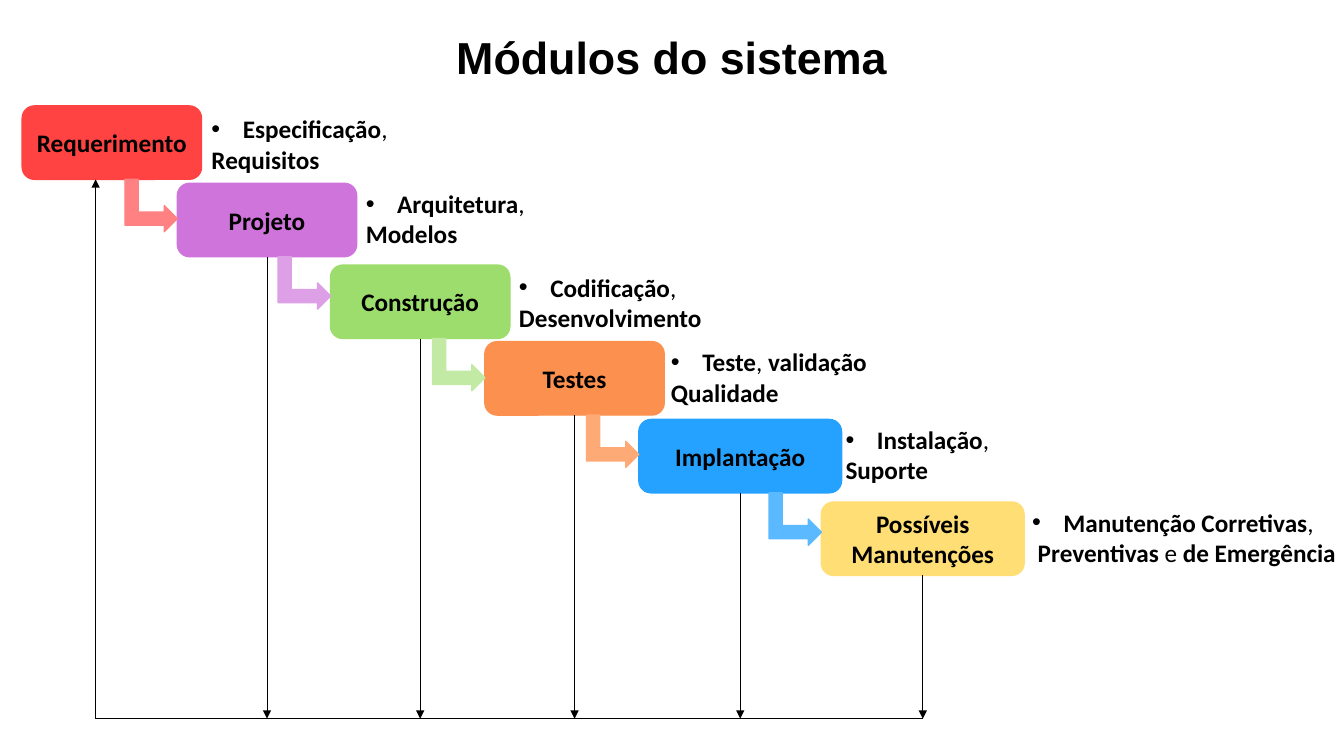
from dataclasses import dataclass
from itertools import pairwise

from lxml.etree import SubElement
from pptx import Presentation
from pptx.dml.color import RGBColor
from pptx.enum.shapes import MSO_CONNECTOR as Link, MSO_SHAPE as Preset
from pptx.enum.text import MSO_ANCHOR as Anchor, MSO_AUTO_SIZE as Fit, PP_ALIGN as Align
from pptx.oxml.ns import qn
from pptx.util import Cm, Pt

BLACK = RGBColor(0x00, 0x00, 0x00)
RED, PALE_RED = RGBColor(0xFF, 0x43, 0x43), RGBColor(0xFF, 0x81, 0x81)
PURPLE, PALE_PURPLE = RGBColor(0xCE, 0x74, 0xDA), RGBColor(0xDD, 0x9F, 0xE5)
GREEN, PALE_GREEN = RGBColor(0x9D, 0xDD, 0x6D), RGBColor(0xC2, 0xEA, 0xA4)
ORANGE, PALE_ORANGE = RGBColor(0xFC, 0x90, 0x4E), RGBColor(0xFD, 0xAA, 0x77)
BLUE, PALE_BLUE = RGBColor(0x25, 0xA2, 0xFF), RGBColor(0x5B, 0xB9, 0xFF)
YELLOW = RGBColor(0xFF, 0xDE, 0x75)

TITLE_FORMAT = {"name": "Arial", "size": Pt(32), "bold": True}
LABEL_FORMAT = {"name": "Calibri", "size": Pt(18), "bold": True}
PLAIN_FORMAT = {**LABEL_FORMAT, "bold": False}

STEP_HEIGHT = Cm(1.85)
ELBOW_SIZE = Cm(1.32)
NOTE_HEIGHT = Cm(1.8)
BULLET_INDENT = Cm(0.79)
RETURN_X = Cm(2.41)
BASE_Y = Cm(18.11)


@dataclass
class Box:
    """Left, top, width and height of a region."""
    left: int
    top: int
    width: int
    height: int

    @property
    def centre(self):
        """Horizontal middle."""
        return self.left + self.width // 2

    @property
    def bottom(self):
        """Lower edge."""
        return self.top + self.height

    @property
    def area(self):
        """Values in the order that the shape methods take."""
        return self.left, self.top, self.width, self.height


@dataclass
class Step:
    """One module of the waterfall with its note; note parts alternate bold and plain."""
    label: str
    colour: RGBColor
    elbow_colour: RGBColor
    box: Box
    note_box: Box
    note: tuple
    wrap: bool = False


def make_step(label, colours, place, note_place, note, wrap=False):
    """Build a step from left, top and width values in centimetres."""
    box = Box(*map(Cm, place), STEP_HEIGHT)
    note_box = Box(*map(Cm, note_place), NOTE_HEIGHT)
    return Step(label, *colours, box, note_box, note, wrap)


STEPS = [
    make_step("Requerimento", (RED, PALE_RED), (0.56, 2.67, 4.52),
              (5.08, 2.74, 4.98), ("Especificação|,", "Requisitos")),
    make_step("Projeto", (PURPLE, PALE_PURPLE), (4.47, 4.62, 4.52),
              (8.97, 4.62, 4.55), ("Arquitetura|,", "Modelos")),
    make_step("Construção", (GREEN, PALE_GREEN), (8.33, 6.68, 4.52),
              (12.83, 6.73, 5.28), ("Codificação|,", "Desenvolvimento")),
    make_step("Testes", (ORANGE, PALE_ORANGE), (12.22, 8.61, 4.52),
              (16.66, 8.61, 5.46), ("Teste|, |validação", "Qualidade")),
    make_step("Implantação", (BLUE, PALE_BLUE), (16.1, 10.57, 5.11),
              (21.06, 10.57, 4.32), ("Instalação|, ", "Suporte")),
    make_step("Possíveis Manutenções", (YELLOW, YELLOW), (20.7, 12.65, 5.11),
              (25.76, 12.65, 8.53),
              ("Manutenção Corretivas|,", " Preventivas| e |de Emergência"), True),
]


def add_span(para, text, formats):
    """Append a black run with the given font values."""
    span = para.add_run()
    span.text = text
    for name, value in formats.items():
        setattr(span.font, name, value)
    span.font.color.rgb = BLACK


def add_block(page, preset, box, colour):
    """Draw a preset shape with one colour for fill and outline."""
    block = page.shapes.add_shape(preset, *box.area)
    block.shadow.inherit = False
    block.fill.solid()
    block.fill.fore_color.rgb = colour
    block.line.color.rgb = colour
    block.line.width = Pt(1)
    return block


def add_line(page, start, end, arrow=True):
    """Draw a thin black line, with an arrowhead at its end if wanted."""
    line = page.shapes.add_connector(Link.STRAIGHT, *start, *end)
    line.line.color.rgb = BLACK
    line.line.width = Pt(0.5)
    if arrow:
        SubElement(line.line._get_or_add_ln(), qn("a:tailEnd"), type="triangle")
    SubElement(line._element.spPr, qn("a:effectLst"))


def draw_title(page, box):
    """Write the centred heading."""
    frame = page.shapes.add_textbox(*box.area).text_frame
    frame.word_wrap = True
    frame.vertical_anchor = Anchor.BOTTOM
    para = frame.paragraphs[0]
    para.alignment, para.line_spacing = Align.CENTER, 0.9
    add_span(para, "Módulos do sistema", TITLE_FORMAT)


def draw_step(page, box, step):
    """Draw the rounded box of a module with its label."""
    frame = add_block(page, Preset.ROUNDED_RECTANGLE, box, step.colour).text_frame
    frame.word_wrap = True
    frame.vertical_anchor = Anchor.MIDDLE
    para = frame.paragraphs[0]
    para.alignment = Align.CENTER
    add_span(para, step.label, LABEL_FORMAT)


def draw_elbow(page, box, following, colour):
    """Draw the bent arrow from under a box to the side of the following one."""
    place = Box(following.left - ELBOW_SIZE, box.bottom, ELBOW_SIZE, ELBOW_SIZE)
    add_block(page, Preset.BENT_UP_ARROW, place, colour).rotation = 90


def draw_note(page, box, step):
    """Write the bulleted first line and the second line beside a module."""
    frame = page.shapes.add_textbox(*box.area).text_frame
    frame.word_wrap = step.wrap
    frame.auto_size = Fit.SHAPE_TO_FIT_TEXT
    first, second = frame.paragraphs[0], frame.add_paragraph()
    properties = first._p.get_or_add_pPr()
    properties.set("marL", str(BULLET_INDENT))
    properties.set("indent", str(-BULLET_INDENT))
    SubElement(properties, qn("a:buFont"), typeface="Arial")
    SubElement(properties, qn("a:buChar"), char="•")
    for para, text in zip((first, second), step.note):
        for index, part in enumerate(text.split("|")):
            add_span(para, part, PLAIN_FORMAT if index % 2 else LABEL_FORMAT)


def draw_feedback(page, boxes):
    """Drop an arrow from each later box to the base line that returns to the first."""
    first, *later = boxes
    for box in later:
        add_line(page, (box.centre, box.bottom), (box.centre, BASE_Y))
    corner = (RETURN_X, BASE_Y)
    add_line(page, (later[-1].centre, BASE_Y), corner, arrow=False)
    add_line(page, corner, (RETURN_X, first.bottom))


def build_slide(page):
    """Place the title, the waterfall, the feedback lines and the notes."""
    draw_title(page, Box(Cm(4.23), Cm(0.56), Cm(25.4), Cm(1.68)))
    for step in STEPS:
        draw_step(page, step.box, step)
    draw_feedback(page, [step.box for step in STEPS])
    for step, following in pairwise(STEPS):
        draw_elbow(page, step.box, following.box, step.elbow_colour)
    for step in STEPS:
        draw_note(page, step.note_box, step)


deck = Presentation()
deck.slide_width, deck.slide_height = Cm(33.87), Cm(19.05)
build_slide(deck.slides.add_slide(deck.slide_layouts[6]))
deck.save("out.pptx")
